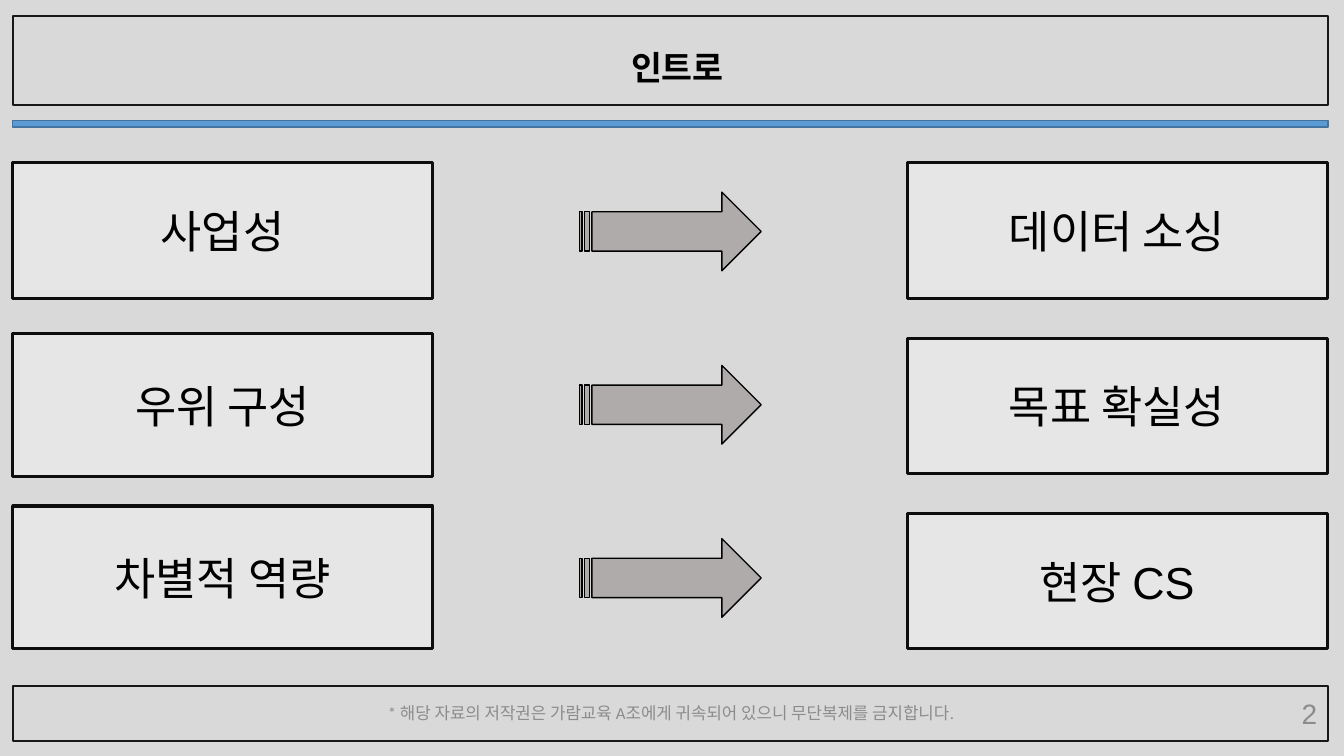
from pptx import Presentation
from pptx.dml.color import RGBColor
from pptx.enum.shapes import MSO_SHAPE
from pptx.enum.text import MSO_ANCHOR, MSO_AUTO_SIZE, PP_ALIGN
from pptx.util import Pt

PX = 9525
SLIDE_SIZE = (1280, 720)
TITLE = "인트로"
FOOTER = "* 해당 자료의 저작권은 가람교육 A조에게 귀속되어 있으니 무단복제를 금지합니다."
PAGE_NUMBER = "2"

LEFT_BOXES = [("사업성", 155, 129), ("우위 구성", 318, 136), ("차별적 역량", 482, 136)]
RIGHT_BOXES = [("데이터 소싱", "Calibri"), ("목표 확실성", "Calibri"), ("현장 CS", "Arial")]

MARGIN, FULL_WIDTH = 12, 1253
BOX_WIDTH, RIGHT_HEIGHT = 400, 129
RIGHT_X, RIGHT_TOP, RIGHT_PITCH = 864, 155, 167
ARROW_X, ARROW_TOP, ARROW_PITCH = 552, 183, 165
ARROW_WIDTH, ARROW_HEIGHT = 173, 75


def color(value):
    return RGBColor.from_string(value)


def place(shape, x, y, width, height):
    shape.left, shape.top = x * PX, y * PX
    shape.width, shape.height = width * PX, height * PX


def outline(shape, line_color, line_width):
    shape.line.color.rgb = color(line_color)
    shape.line.width = Pt(line_width)


def format_run(run, size, font, font_color, bold=False):
    run.font.size = Pt(size)
    run.font.name = font
    run.font.color.rgb = color(font_color)
    run.font.bold = bold


def write(shape, text, size, font, font_color, align=PP_ALIGN.CENTER):
    frame = shape.text_frame
    frame.text = text
    frame.word_wrap = True
    frame.vertical_anchor = MSO_ANCHOR.MIDDLE
    paragraph = frame.paragraphs[0]
    paragraph.alignment = align
    format_run(paragraph.runs[0], size, font, font_color)


def add_shape(slide, kind, bounds, fill, line_color, line_width):
    shape = slide.shapes.add_shape(kind, *(value * PX for value in bounds))
    shape.shadow.inherit = False
    if fill:
        shape.fill.solid()
        shape.fill.fore_color.rgb = color(fill)
    else:
        shape.fill.background()
    outline(shape, line_color, line_width)
    return shape


def add_box(slide, text, font, bounds):
    box = add_shape(slide, MSO_SHAPE.RECTANGLE, bounds, "E7E6E6", "0D0D0D", 2.25)
    write(box, text, 32, font, "000000")


def add_note(slide, text, size, font, bounds, align):
    note = slide.shapes.add_textbox(*(value * PX for value in bounds))
    write(note, text, size, font, "8C8C8C", align)


def format_title(title):
    place(title, MARGIN, 15, FULL_WIDTH, 85)
    outline(title, "181717", 1.5)
    write(title, " ", 44, "Calibri", "000000")
    title.text_frame.auto_size = MSO_AUTO_SIZE.NONE
    paragraph = title.text_frame.paragraphs[0]
    paragraph.line_spacing = 0.9
    paragraph.runs[0].font.bold = True
    run = paragraph.add_run()
    run.text = TITLE
    format_run(run, 24, "Calibri", "000000", bold=True)


def main():
    presentation = Presentation()
    presentation.slide_width, presentation.slide_height = (value * PX for value in SLIDE_SIZE)
    slide = presentation.slides.add_slide(presentation.slide_layouts[5])
    slide.background.fill.solid()
    slide.background.fill.fore_color.rgb = color("D9D9D9")

    format_title(slide.shapes.title)
    add_shape(slide, MSO_SHAPE.RECTANGLE, (MARGIN, 115, FULL_WIDTH, 6), "5B9BD5", "43739E", 1)
    add_shape(slide, MSO_SHAPE.RECTANGLE, (MARGIN, 653, FULL_WIDTH, 53), None, "181717", 1.5)
    add_note(slide, PAGE_NUMBER, 20, "Arial", (976, 660, 288, 38), PP_ALIGN.RIGHT)
    add_note(slide, FOOTER, 12, "Calibri", (338, 656, 602, 46), PP_ALIGN.CENTER)

    for text, top, height in LEFT_BOXES:
        add_box(slide, text, "Calibri", (MARGIN, top, BOX_WIDTH, height))
    for row, (text, font) in enumerate(RIGHT_BOXES):
        right_top = RIGHT_TOP + row * RIGHT_PITCH
        add_box(slide, text, font, (RIGHT_X, right_top, BOX_WIDTH, RIGHT_HEIGHT))
        arrow_bounds = (ARROW_X, ARROW_TOP + row * ARROW_PITCH, ARROW_WIDTH, ARROW_HEIGHT)
        add_shape(slide, MSO_SHAPE.STRIPED_RIGHT_ARROW, arrow_bounds, "AFABAB", "000000", 1)

    presentation.save("out.pptx")


if __name__ == "__main__":
    main()
